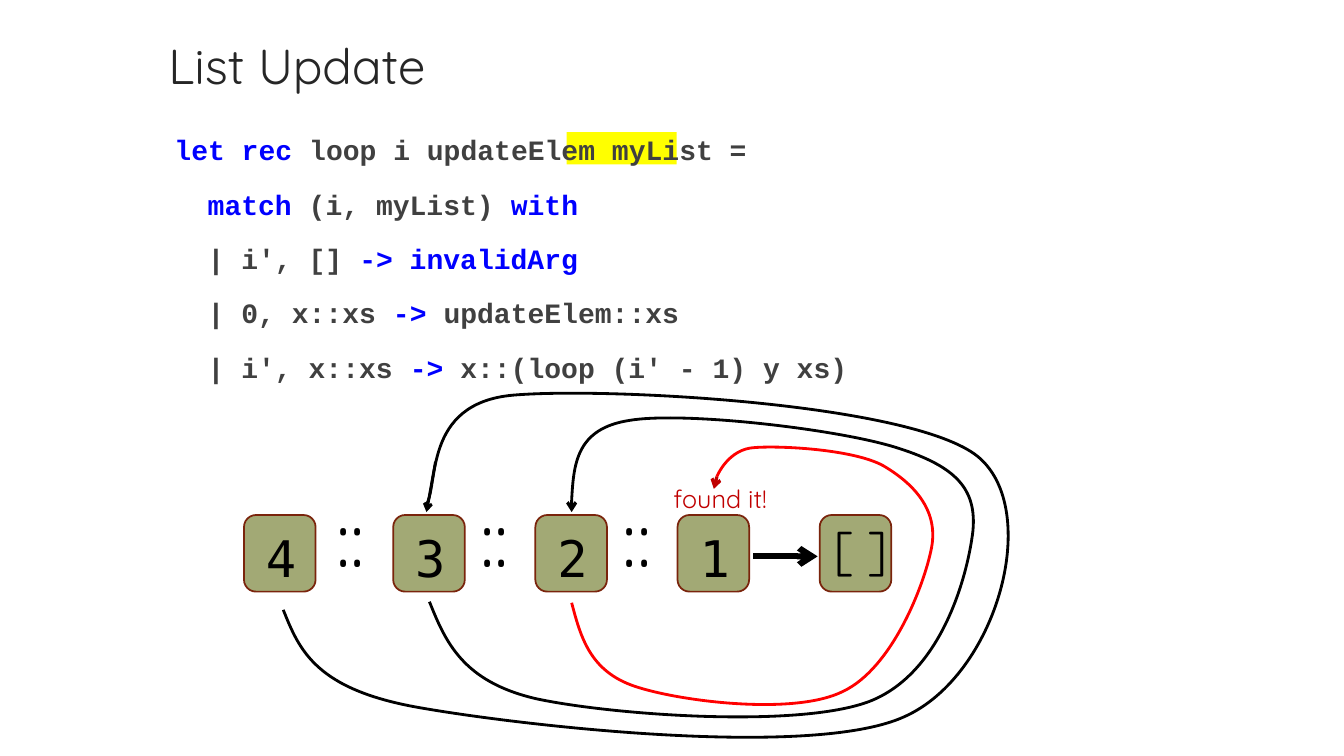
"""Build the List Update slide with its code listing and linked list diagram."""
from dataclasses import dataclass

import lxml.etree
import pptx
import pptx.dml.color
import pptx.enum.shapes
import pptx.enum.text
import pptx.oxml.ns
import pptx.util

Inches = pptx.util.Inches
Pt = pptx.util.Pt
qn = pptx.oxml.ns.qn
Shapes = pptx.enum.shapes.MSO_SHAPE


@dataclass(frozen=True)
class Theme:
    ink: str = "000000"
    heading: str = "262626"
    code: str = "404040"
    keyword: str = "0000FF"
    marker: str = "FFFF00"
    cell: str = "A2A975"
    cell_edge: str = "7A240C"
    found: str = "C00000"
    found_path: str = "FF0000"
    sans: str = "Quicksand"
    mono: str = "DejaVu Sans Mono"
    code_font: str = "Courier New"
    title_size: float = 35.1
    code_size: float = 20
    value_size: float = 36
    cons_size: float = 54
    note_size: float = 18


class ListSlide:
    def __init__(self, slide, theme):
        self.slide = slide
        self.theme = theme

    def color(self, value):
        return pptx.dml.color.RGBColor.from_string(value)

    def place(self, shape, left, top, width, height):
        shape.left, shape.top = Inches(left), Inches(top)
        shape.width, shape.height = Inches(width), Inches(height)

    def style(self, span, font, size, color, bold=False):
        span.font.name = font
        span.font.size = Pt(size)
        span.font.bold = bold
        span.font.color.rgb = self.color(color)

    def stroke(self, line, color, width):
        line.color.rgb = self.color(color)
        line.width = Pt(width)

    def title(self, text, *frame):
        box = self.slide.shapes.title
        self.place(box, *frame)
        box.text_frame.text = text
        box.text_frame.vertical_anchor = pptx.enum.text.MSO_ANCHOR.TOP
        para = box.text_frame.paragraphs[0]
        para.alignment = pptx.enum.text.PP_ALIGN.LEFT
        self.style(para.runs[0], self.theme.sans, self.theme.title_size, self.theme.heading)

    def code(self, lines, *frame):
        box = self.slide.placeholders[1]
        self.place(box, *frame)
        for number, (margin, spans) in enumerate(lines):
            para = box.text_frame.add_paragraph() if number else box.text_frame.paragraphs[0]
            para.line_spacing = 1.2
            para.space_before, para.space_after = Pt(10), Pt(0)
            properties = para._p.get_or_add_pPr()
            properties.set("marL", str(Inches(margin)))
            properties.set("indent", "0")
            lxml.etree.SubElement(properties, qn("a:buNone"))
            for text, color in spans:
                span = para.add_run()
                span.text = text
                self.style(span, self.theme.code_font, self.theme.code_size, color, True)

    def block(self, kind, fill, *frame):
        shape = self.slide.shapes.add_shape(kind, *map(Inches, frame))
        shape.shadow.inherit = False
        shape.fill.solid()
        shape.fill.fore_color.rgb = self.color(fill)
        shape.line.fill.background()
        return shape

    def highlight(self, *frame):
        shape = self.block(Shapes.RECTANGLE, self.theme.marker, *frame)
        self.slide.shapes._spTree.insert(2, shape._element)

    def cell(self, left):
        shape = self.block(Shapes.ROUNDED_RECTANGLE, self.theme.cell, left, 5.11, 0.71, 0.76)
        self.stroke(shape.line, self.theme.cell_edge, 1.25)

    def label(self, text, font, size, color, *frame):
        box = self.slide.shapes.add_textbox(*map(Inches, frame))
        box.text_frame.word_wrap = True
        box.text_frame.margin_right = 0
        box.text_frame.text = text
        self.style(box.text_frame.paragraphs[0].runs[0], font, size, color)

    def curve(self, color, start, *segments):
        builder = self.slide.shapes.build_freeform(*map(Inches, start))
        corners = [tuple(map(Inches, corner)) for segment in segments for corner in segment]
        builder.add_line_segments(corners, close=False)
        shape = builder.convert_to_shape()
        shape.shadow.inherit = False
        shape.fill.background()
        self.stroke(shape.line, color, 2)
        outline = next(shape._element.iter(qn("a:path")))
        straight = outline.findall(qn("a:lnTo"))
        for first in range(0, len(straight), 3):
            bend = lxml.etree.SubElement(outline, qn("a:cubicBezTo"))
            for piece in straight[first:first + 3]:
                bend.append(piece[0])
                outline.remove(piece)

    def arrow(self, start, end, color, width):
        line = self.slide.shapes.add_connector(
            pptx.enum.shapes.MSO_CONNECTOR.STRAIGHT, *map(Inches, start + end))
        self.stroke(line.line, color, width)
        lxml.etree.SubElement(line.line._get_or_add_ln(), qn("a:tailEnd"), type="arrow")
        lxml.etree.SubElement(line._element.spPr, qn("a:effectLst"))


def main():
    theme = Theme()
    deck = pptx.Presentation()
    deck.slide_width, deck.slide_height = Inches(13.33), Inches(7.5)
    page = ListSlide(deck.slides.add_slide(deck.slide_layouts[1]), theme)
    plain, key = theme.code, theme.keyword

    page.highlight(5.62, 1.31, 1.09, 0.32)
    page.title("List Update", 1.57, 0.3, 8.2, 0.81)
    outer, inner = 0.09, 0.42
    page.code([
        (outer, [("let rec ", key), ("loop i updateElem myList =", plain)]),
        (inner, [("match", key), (" (i, myList) ", plain), ("with", key)]),
        (inner, [("| i', [] ", plain), ("-> invalidArg", key)]),
        (inner, [("| 0, x::xs ", plain), ("-> ", key), ("updateElem::xs", plain)]),
        (inner, [("| i', x::xs ", plain), ("->", key), (" x::(loop (i' - 1) y xs)", plain)]),
    ], 1.54, 1.2, 7.76, 2.75)

    for value, left in (("4", 2.42), ("3", 3.9), ("2", 5.31), ("1", 6.72)):
        page.cell(left)
        page.label(value, theme.mono, theme.value_size, theme.ink, left + 0.12, 5.18, 0.56, 0.58)
    page.cell(8.13)
    page.label("[ ]", theme.sans, theme.value_size, theme.ink, 8.17, 5.08, 0.75, 0.71)
    for left in (3.24, 4.67, 6.08):
        page.label("::", theme.sans, theme.cons_size, theme.ink, left, 4.83, 0.63, 1.01)
    page.arrow((7.47, 5.52), (8.11, 5.52), theme.ink, 4.25)

    page.curve(
        theme.ink, (2.81, 6.05),
        ((2.97, 6.45), (3.13, 6.84), (4.16, 7.02)), ((5.18, 7.2), (8.05, 7.53), (8.97, 7.11)),
        ((9.89, 6.7), (10.34, 5.06), (9.7, 4.53)), ((9.05, 4), (6.01, 3.84), (5.09, 3.92)),
        ((4.18, 4), (4.36, 4.84), (4.22, 5.02)))
    page.arrow((4.32, 4.58), (4.23, 5.08), theme.ink, 2)
    page.curve(
        theme.ink, (4.26, 5.97),
        ((4.42, 6.37), (4.59, 6.76), (5.31, 6.93)), ((6.04, 7.09), (7.9, 7.23), (8.62, 6.96)),
        ((9.35, 6.68), (9.6, 5.69), (9.65, 5.27)), ((9.69, 4.85), (9.48, 4.63), (8.92, 4.45)),
        ((8.35, 4.26), (6.79, 4.08), (6.25, 4.17)), ((5.71, 4.25), (5.69, 4.61), (5.67, 4.97)))
    page.arrow((5.67, 4.97), (5.67, 5.08), theme.ink, 2.25)
    page.curve(
        theme.found_path, (5.67, 5.98),
        ((5.76, 6.32), (5.85, 6.66), (6.3, 6.81)), ((6.75, 6.96), (7.88, 7.1), (8.36, 6.86)),
        ((8.85, 6.63), (9.17, 5.8), (9.24, 5.43)), ((9.31, 5.05), (9.05, 4.79), (8.76, 4.62)),
        ((8.47, 4.46), (7.76, 4.42), (7.49, 4.44)), ((7.22, 4.45), (7.11, 4.73), (7.11, 4.73)))
    page.arrow((7.11, 4.73), (7.08, 4.85), theme.found, 2.25)
    page.label("found it!", theme.sans, theme.note_size, theme.found, 6.58, 4.75, 1.25, 0.4)

    deck.save("out.pptx")


if __name__ == "__main__":
    main()
